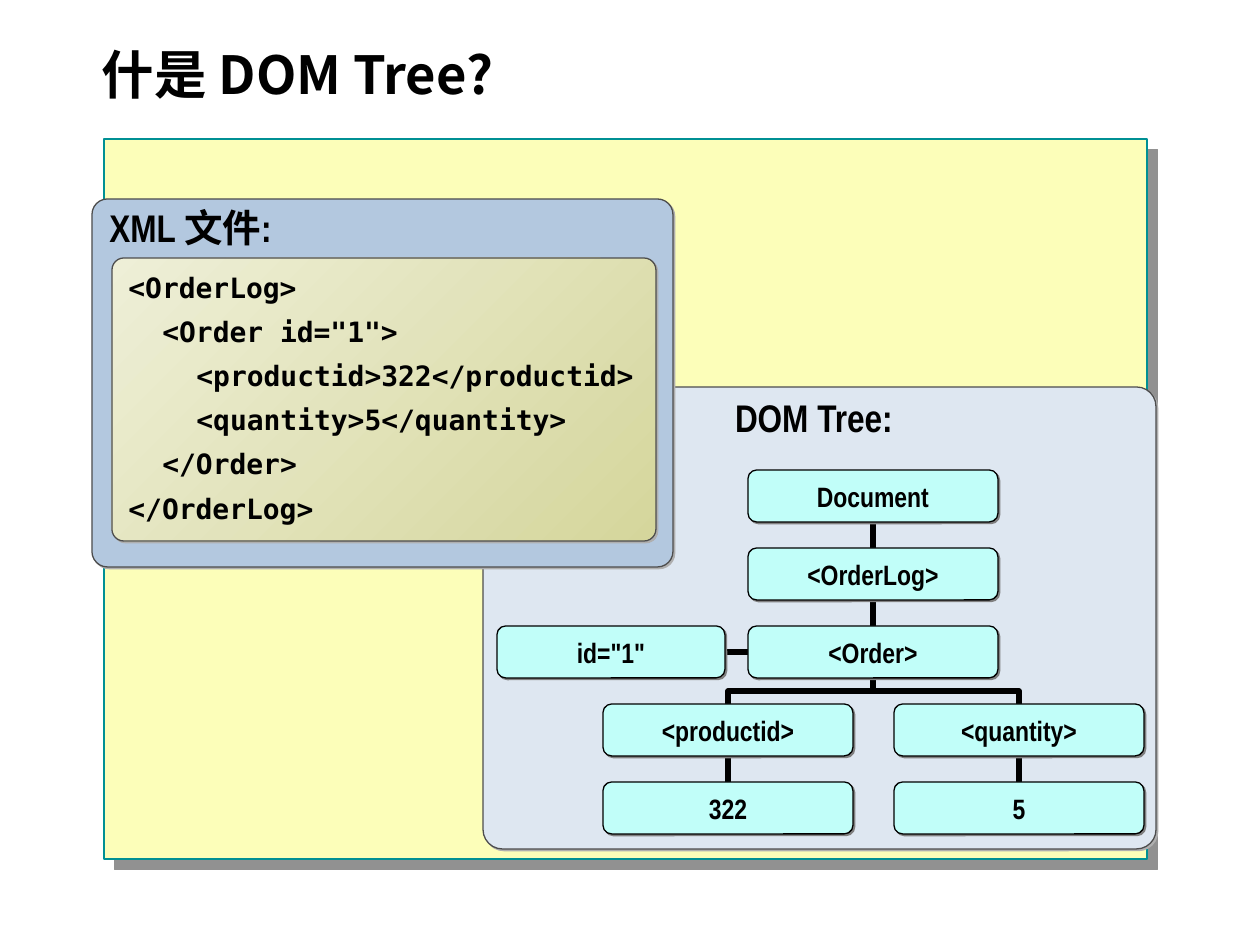
from lxml import etree
from pptx import Presentation
from pptx import util as u
from pptx.dml.color import RGBColor
from pptx.enum import shapes, text
from pptx.oxml.ns import qn

PX = 914400 / 126
BLACK = RGBColor(0x00, 0x00, 0x00)
CREAM = RGBColor(0xFC, 0xFE, 0xB9)
TEAL = RGBColor(0x00, 0x90, 0x94)
GREY = RGBColor(0x4D, 0x4D, 0x4D)
PALE = RGBColor(0xDE, 0xE7, 0xF1)
STEEL = RGBColor(0xB3, 0xC8, 0xDF)
AQUA = RGBColor(0xC1, 0xFE, 0xF9)
SAND, KHAKI = RGBColor(0xEE, 0xEF, 0xD7), RGBColor(0xD5, 0xD6, 0x9C)
FRAME_SHADOW, PANEL_SHADOW, NODE_SHADOW = "919191", "AFAFAF", "808080"
SANS, NARROW, MONO = "Noto Sans CJK SC", "Arial Narrow", "DejaVu Sans Mono"

# Content: XML lines as (level, text), tree nodes as (text, centre x, row)
TITLE = "什是 DOM Tree?"
XML_TITLE = "XML 文件:"
TREE_TITLE = "DOM Tree:"
XML_LINES = [
    (0, "<OrderLog>"),
    (1, '<Order id="1">'),
    (2, "<productid>322</productid>"),
    (2, "<quantity>5</quantity>"),
    (1, "</Order>"),
    (0, "</OrderLog>"),
]
MIDDLE, LEFT, RIGHT = 873, 728, 1019
NODES = [
    ("Document", MIDDLE, 0),
    ("<OrderLog>", MIDDLE, 1),
    ("<productid>", LEFT, 3),
    ("<quantity>", RIGHT, 3),
    ("322", LEFT, 4),
    ("5", RIGHT, 4),
    ("<Order>", MIDDLE, 2),
]
STRAIGHT = [("Document", "<OrderLog>"), ("<OrderLog>", "<Order>"),
            ("<productid>", "322"), ("<quantity>", "5")]
BRANCHES = [LEFT, RIGHT]
NODE_W, NODE_H, TREE_TOP, ROW_STEP = 250, 52, 470, 78
ATTRIBUTE = ('id="1"', 497, 228)
INDENT = 34


def px(value):
    return u.Emu(round(value * PX))


def add_shape(page, kind, left, top, width, height, fill, line, weight,
              shadow, distance=1.4, corner=None):
    shape = page.shapes.add_shape(kind, px(left), px(top), px(width), px(height))
    if corner is not None:
        shape.adjustments[0] = corner
    if isinstance(fill, tuple) and not isinstance(fill, RGBColor):
        shape.fill.gradient()
        shape.fill.gradient_angle = 315
        for stop, color, place in zip(shape.fill.gradient_stops, fill, (0, 1)):
            stop.color.rgb, stop.position = color, place
    else:
        shape.fill.solid()
        shape.fill.fore_color.rgb = fill
    shape.line.color.rgb = line
    shape.line.width = u.Pt(weight)
    shape.shadow.inherit = False
    effects = shape._element.spPr.find(qn("a:effectLst"))
    outer = etree.SubElement(effects, qn("a:outerShdw"), blurRad="0",
                             dist=str(u.Pt(distance)), dir="2700000",
                             algn="ctr", rotWithShape="0")
    etree.SubElement(outer, qn("a:srgbClr"), val=shadow)
    return shape


def write(shape, lines, size, font, align=text.PP_ALIGN.LEFT,
          anchor=text.MSO_ANCHOR.TOP, inset=(13, 6), wrap=True,
          spacing=None, before=0):
    frame = shape.text_frame
    frame.word_wrap = wrap
    frame.vertical_anchor = anchor
    frame.margin_left = frame.margin_right = px(inset[0])
    frame.margin_top = frame.margin_bottom = px(inset[1])
    for index, (level, words) in enumerate(lines):
        para = frame.add_paragraph() if index else frame.paragraphs[0]
        para.alignment = align
        para.space_before = u.Pt(before)
        if spacing:
            para.line_spacing = spacing
        if level:
            para._p.get_or_add_pPr().set("marL", str(px(level * INDENT)))
        span = para.add_run()
        span.text = words
        span.font.size, span.font.name, span.font.bold = u.Pt(size), font, True
        span.font.color.rgb = BLACK
        etree.SubElement(span._r.get_or_add_rPr(), qn("a:ea"), typeface=SANS)


def add_text(page, left, top, width, height, words, size, font, **style):
    box = page.shapes.add_textbox(px(left), px(top), px(width), px(height))
    write(box, [(0, words)], size, font, **style)


def add_panel(page, left, top, width, height, fill):
    return add_shape(page, shapes.MSO_SHAPE.ROUNDED_RECTANGLE, left, top, width,
                     height, fill, GREY, 0.75, PANEL_SHADOW, corner=0.042)


def add_node(page, words, left, top, width):
    node = add_shape(page, shapes.MSO_SHAPE.ROUNDED_RECTANGLE, left, top, width,
                     NODE_H, AQUA, BLACK, 0.75, NODE_SHADOW, corner=0.167)
    write(node, [(0, words)], 16, NARROW, align=text.PP_ALIGN.CENTER,
          anchor=text.MSO_ANCHOR.MIDDLE, inset=(0, 0), wrap=False)
    return node


def add_line(page, kind, behind, x1=0, y1=0, x2=0, y2=0):
    line = page.shapes.add_connector(kind, px(x1), px(y1), px(x2), px(y2))
    line.line.color.rgb = BLACK
    line.line.width = u.Pt(3)
    etree.SubElement(line._element.spPr, qn("a:effectLst"))
    behind._element.addprevious(line._element)
    return line


def join(page, behind, start, start_side, end, end_side):
    line = add_line(page, shapes.MSO_CONNECTOR.STRAIGHT, behind)
    line.begin_connect(start, start_side)
    line.end_connect(end, end_side)


def branch(page, behind, child_x):
    """Elbow that leaves the order node downwards and enters a child from above."""
    side = 1 if child_x > MIDDLE else -1
    drop, reach = ROW_STEP - NODE_H, abs(child_x - MIDDLE)
    x = (child_x + MIDDLE) / 2
    y = TREE_TOP + 2 * ROW_STEP + NODE_H + drop / 2
    line = add_line(page, shapes.MSO_CONNECTOR.ELBOW, behind,
                    x + side * drop / 2, y - reach / 2,
                    x - side * drop / 2, y + reach / 2)
    turn = 270 if side > 0 else 90
    line._element.spPr.find(qn("a:xfrm")).set("rot", str(turn * 60000))


def main():
    deck = Presentation()
    deck.slide_width, deck.slide_height = px(1260), px(945)
    page = deck.slides.add_slide(deck.slide_layouts[6])

    # Frame and title
    add_shape(page, shapes.MSO_SHAPE.RECTANGLE, 104, 139, 1043, 720,
              CREAM, TEAL, 1, FRAME_SHADOW, distance=8.5)
    add_text(page, 89, 21, 1129, 116, TITLE, 30, SANS,
             anchor=text.MSO_ANCHOR.MIDDLE, spacing=0.8)

    # DOM tree panel and nodes
    add_panel(page, 483, 387, 673, 462, PALE)
    add_text(page, 722, 388, 197, 59, TREE_TITLE, 22, NARROW, wrap=False)
    nodes = {words: add_node(page, words, x - NODE_W / 2,
                             TREE_TOP + row * ROW_STEP, NODE_W)
             for words, x, row in NODES}
    words, left, width = ATTRIBUTE
    attribute = add_node(page, words, left, TREE_TOP + 2 * ROW_STEP, width)

    # Links, kept behind the nodes
    back = nodes["Document"]
    for parent, child in STRAIGHT:
        join(page, back, nodes[parent], 2, nodes[child], 0)
    for child_x in BRANCHES:
        branch(page, back, child_x)
    join(page, back, attribute, 3, nodes["<Order>"], 1)

    # XML panel and code
    panel = add_panel(page, 92, 199, 581, 368, STEEL)
    write(panel, [(0, XML_TITLE)], 22, NARROW, spacing=0.9, before=11)
    code = add_panel(page, 112, 258, 544, 283, (SAND, KHAKI))
    write(code, XML_LINES, 16, MONO, anchor=text.MSO_ANCHOR.MIDDLE,
          inset=(13, 13), spacing=0.9, before=8)

    deck.save("out.pptx")


if __name__ == "__main__":
    main()
